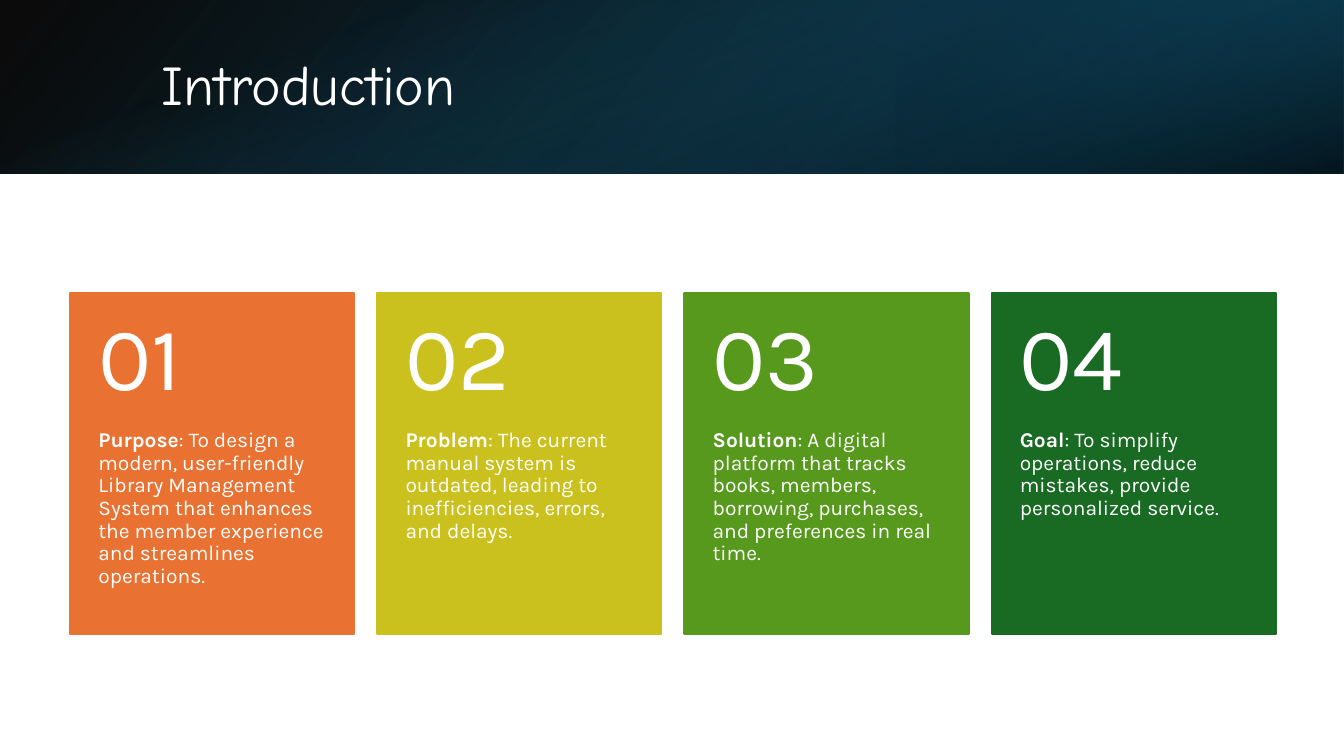
"""Build the introduction slide with a gradient banner and four numbered cards."""
from dataclasses import dataclass

from lxml import etree
from pptx import Presentation
from pptx.dml.color import RGBColor
from pptx.enum import shapes, text
from pptx.oxml import ns
from pptx.util import Cm, Pt


@dataclass(frozen=True)
class Theme:
    """Hold the colours, fonts and type sizes."""
    white: str = "FFFFFF"
    black: str = "000000"
    navy: str = "104862"
    deep: str = "0B3041"
    teal: str = "156082"
    cards: tuple = ("E97132", "CBC11E", "56991D", "196B24")
    head: str = "Comic Neue"
    body: str = "Karla"
    title: int = 40
    digit: int = 64
    note: int = 15


THEME = Theme()
WIDE, HIGH, BAND = 33.87, 19.05, 4.37
LEFT, TOP, STEP = 1.77, 7.39, 7.74
CARD, UPPER, LOWER = 7.16, 3.43, 5.16
ITEMS = (
    ("Purpose", ": To design a modern, user-friendly Library Management System "
     "that enhances the member experience and streamlines operations."),
    ("Problem", ": The current manual system is outdated, leading to "
     "inefficiencies, errors, and delays."),
    ("Solution", ": A digital platform that tracks books, members, borrowing, "
     "purchases, and preferences in real time."),
    ("Goal", ": To simplify operations, reduce mistakes, provide "
     "personalized service."),
)


def add_rect(home, box):
    """Add a plain rectangle without shadow."""
    rect = home.add_shape(shapes.MSO_SHAPE.RECTANGLE, *map(Cm, box))
    rect.shadow.inherit = False
    return rect


def add_fade(home, box, stops, angle, turn=0, flip=False):
    """Add a banner layer with a two-stop translucent gradient."""
    rect = add_rect(home, box)
    rect.line.fill.background()
    rect.rotation = turn
    if flip:
        rect._element.spPr.find(ns.qn("a:xfrm")).set("flipH", "1")
    rect.fill.gradient()
    rect.fill.gradient_angle = 360 - angle
    for stop, (place, tint, _) in zip(rect.fill.gradient_stops, stops):
        stop.position = place / 100
        stop.color.rgb = RGBColor.from_string(tint)
    tints = rect._element.spPr.iter(ns.qn("a:srgbClr"))
    for node, (_, _, alpha) in zip(tints, stops):
        etree.SubElement(node, ns.qn("a:alpha")).set("val", str(alpha * 1000))


def add_run(para, words, face, size, bold=False):
    """Add one white run to a paragraph."""
    run = para.add_run()
    run.text = words
    run.font.name, run.font.size, run.font.bold = face, Pt(size), bold
    run.font.color.rgb = RGBColor.from_string(THEME.white)


def add_text(home, box, runs, size, anchor, upper, lower):
    """Add a wrapped text box made of (words, bold) runs."""
    frame = home.add_textbox(*map(Cm, box)).text_frame
    frame.word_wrap = True
    frame.vertical_anchor = anchor
    frame.margin_left = frame.margin_right = Cm(0.71)
    frame.margin_top, frame.margin_bottom = Cm(upper), Cm(lower)
    para = frame.paragraphs[0]
    para.line_spacing = 0.9
    for words, bold in runs:
        add_run(para, words, THEME.body, size, bold)


def add_card(home, index, label, note):
    """Add a coloured card with its number and note."""
    left = LEFT + index * STEP
    rect = add_rect(home, (left, TOP, CARD, UPPER + LOWER))
    tint = RGBColor.from_string(THEME.cards[index])
    rect.fill.solid()
    rect.fill.fore_color.rgb = tint
    rect.line.color.rgb = tint
    rect.line.width = Pt(1.5)
    add_text(home, (left, TOP + UPPER, CARD, LOWER),
             ((label, True), (note, False)), THEME.note,
             text.MSO_ANCHOR.TOP, 0, 0.91)
    add_text(home, (left, TOP, CARD, UPPER), ((f"{index + 1:02}", False),),
             THEME.digit, text.MSO_ANCHOR.MIDDLE, 0.46, 0.46)


def add_band(home):
    """Layer the three gradients of the banner."""
    add_fade(home, (0, 0, WIDE, BAND),
             ((0, THEME.black, 96), (100, THEME.navy, 100)), 140, flip=True)
    add_fade(home, (WIDE * 2 / 3, 0, WIDE / 3, BAND),
             ((19, THEME.deep, 68), (100, THEME.teal, 79)), 320, 180, True)
    add_fade(home, ((WIDE - BAND) / 2, (BAND - WIDE) / 2, BAND, WIDE),
             ((23, THEME.teal, 0), (99, THEME.black, 74)), 340, 90)


def set_title(slide, words):
    """Place the title placeholder over the banner."""
    title = slide.shapes.title
    title.left, title.top = Cm(3.81), Cm(0.97)
    title.width, title.height = Cm(27.89), Cm(2.44)
    frame = title.text_frame
    frame.auto_size = text.MSO_AUTO_SIZE.NONE
    frame.vertical_anchor = text.MSO_ANCHOR.MIDDLE
    para = frame.paragraphs[0]
    para.alignment = text.PP_ALIGN.LEFT
    para.line_spacing = 0.9
    add_run(para, words, THEME.head, THEME.title)
    slide.shapes._spTree.append(title._element)


def main():
    """Build and save the slide."""
    deck = Presentation()
    deck.slide_width, deck.slide_height = Cm(WIDE), Cm(HIGH)
    slide = deck.slides.add_slide(deck.slide_layouts[5])
    add_band(slide.shapes)
    set_title(slide, "Introduction")
    group = slide.shapes.add_group_shape()
    for index, (label, note) in enumerate(ITEMS):
        add_card(group.shapes, index, label, note)
    deck.save("out.pptx")


if __name__ == "__main__":
    main()
